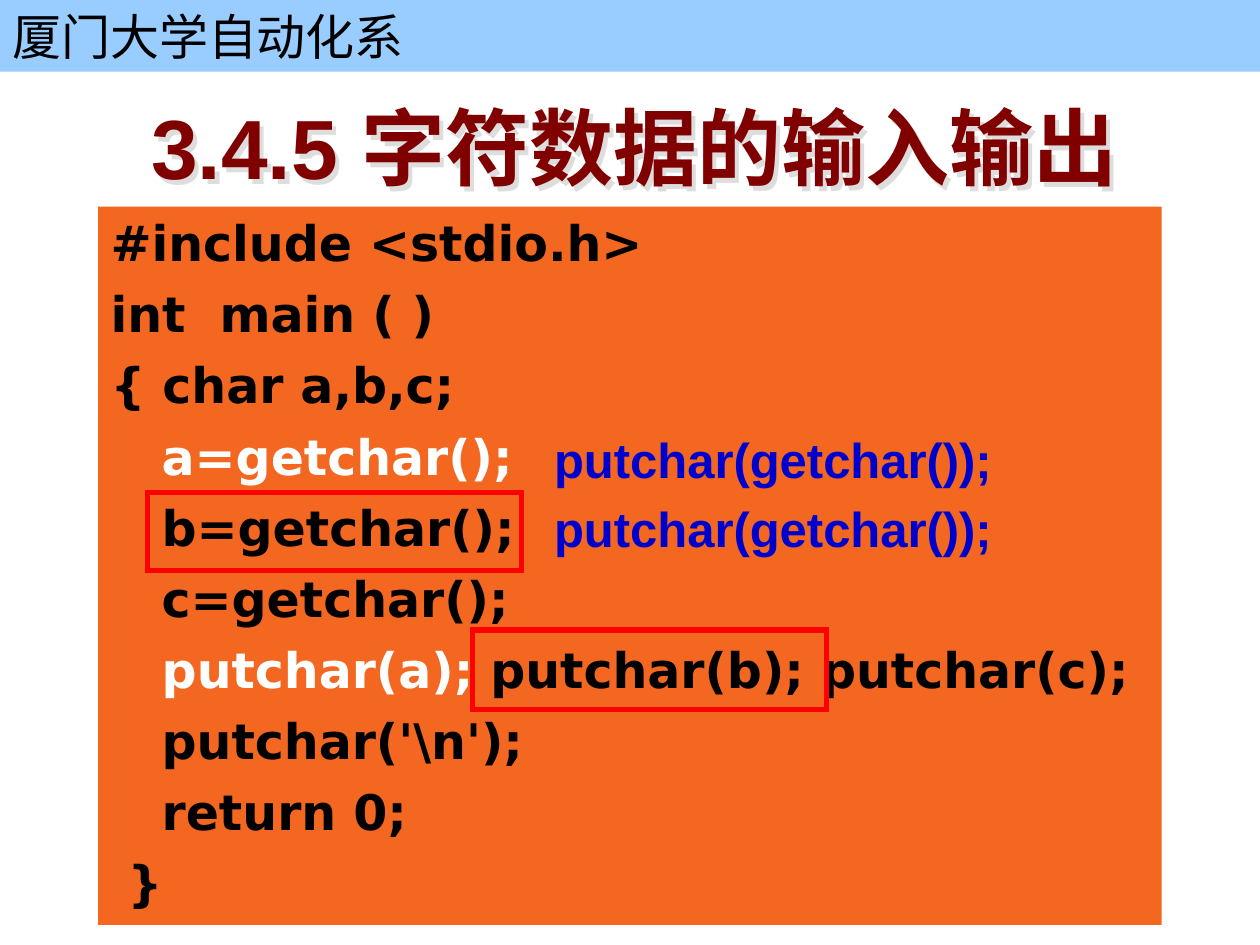
from lxml import etree
from pptx import Presentation
from pptx.dml.color import RGBColor
from pptx.enum.shapes import MSO_SHAPE as Shape
from pptx.enum.text import MSO_ANCHOR as Anchor, PP_ALIGN as Align
from pptx.oxml.ns import qn
from pptx.util import Inches, Pt

BLACK, WHITE, RED, BLUE, MAROON = "000000", "FFFFFF", "FF0000", "0000CC", "800000"
SKY, ORANGE, SHADOW = "99CCFF", "F36721", "DDDDDD"

# Each code line is a list of (text, colour) runs
CODE = [
    [("#include <stdio.h>", BLACK)],
    [("int  main ( )", BLACK)],
    [("{ char a,b,c;", BLACK)],
    [("   ", BLACK), ("a=getchar();", WHITE)],
    [("   b=getchar();", BLACK)],
    [("   c=getchar();", BLACK)],
    [("   ", BLACK), ("putchar(a); ", WHITE), ("putchar(b); putchar(c);", BLACK)],
    [("   putchar('\\n');", BLACK)],
    [("   return 0;", BLACK)],
    [(" }", BLACK)],
]


def rgb(colour):
    return RGBColor.from_string(colour)


def set_font(font, size, colour, bold=True, name="Arial"):
    font.name, font.size, font.bold = name, Pt(size), bold
    font.color.rgb = rgb(colour)


def add_box(slide, left, top, width, height, fill=None, line=None):
    shape = slide.shapes.add_shape(
        Shape.RECTANGLE, Inches(left), Inches(top), Inches(width), Inches(height))
    shape.shadow.inherit = False
    if fill:
        shape.fill.solid()
        shape.fill.fore_color.rgb = rgb(fill)
    else:
        shape.fill.background()
    if line:
        shape.line.color.rgb = rgb(line)
        shape.line.width = Pt(3)
        # Square corners
        outline = shape._element.spPr.find(qn("a:ln"))
        etree.SubElement(outline, qn("a:miter"), lim="800000")
    else:
        shape.line.fill.background()
    return shape


def add_text(slide, left, top, width, height, text, size, colour):
    box = slide.shapes.add_textbox(
        Inches(left), Inches(top), Inches(width), Inches(height))
    box.text_frame.word_wrap = True
    paragraph = box.text_frame.paragraphs[0]
    paragraph.text = text
    set_font(paragraph.font, size, colour)
    return box


def add_shadow(box):
    """Cast a light shadow to the lower right of the letters."""
    effects = etree.SubElement(box._element.spPr, qn("a:effectLst"))
    shadow = etree.SubElement(effects, qn("a:outerShdw"),
                              dist=str(Inches(0.05)), dir="2700000", algn="ctr")
    etree.SubElement(shadow, qn("a:srgbClr"), val=SHADOW)


def add_header(slide):
    frame = add_box(slide, 0, 0, 10, 0.57, fill=SKY).text_frame
    frame.vertical_anchor = Anchor.TOP
    paragraph = frame.paragraphs[0]
    paragraph.alignment = Align.LEFT
    paragraph.text = "厦门大学自动化系"
    set_font(paragraph.font, 28, BLACK, bold=False)


def add_title(slide):
    box = add_text(slide, 0.23, 0.7, 9.61, 0.91,
                   "3.4.5 字符数据的输入输出", 48, MAROON)
    box.text_frame.vertical_anchor = Anchor.BOTTOM
    box.text_frame.paragraphs[0].alignment = Align.CENTER
    add_shadow(box)


def add_code(slide):
    frame = add_box(slide, 0.78, 1.64, 8.44, 5.7, fill=ORANGE).text_frame
    frame.vertical_anchor = Anchor.TOP
    for index, line in enumerate(CODE):
        paragraph = frame.add_paragraph() if index else frame.paragraphs[0]
        paragraph.alignment = Align.LEFT
        if index:
            paragraph.space_before = Pt(7)
        for text, colour in line:
            run = paragraph.add_run()
            run.text = text
            set_font(run.font, 28, colour, name="DejaVu Sans")


def main():
    presentation = Presentation()
    presentation.slide_width, presentation.slide_height = Inches(10), Inches(7.5)
    slide = presentation.slides.add_slide(presentation.slide_layouts[6])

    add_header(slide)
    add_title(slide)
    add_code(slide)

    # Shorter calls beside the code
    for top in (3.36, 3.91):
        add_text(slide, 4.3, top, 4.14, 0.57, "putchar(getchar());", 28, BLUE)

    # Frames around the statements for b
    add_box(slide, 1.17, 3.91, 2.97, 0.62, line=RED)
    add_box(slide, 3.75, 5, 2.81, 0.63, line=RED)

    presentation.save("out.pptx")


if __name__ == "__main__":
    main()
